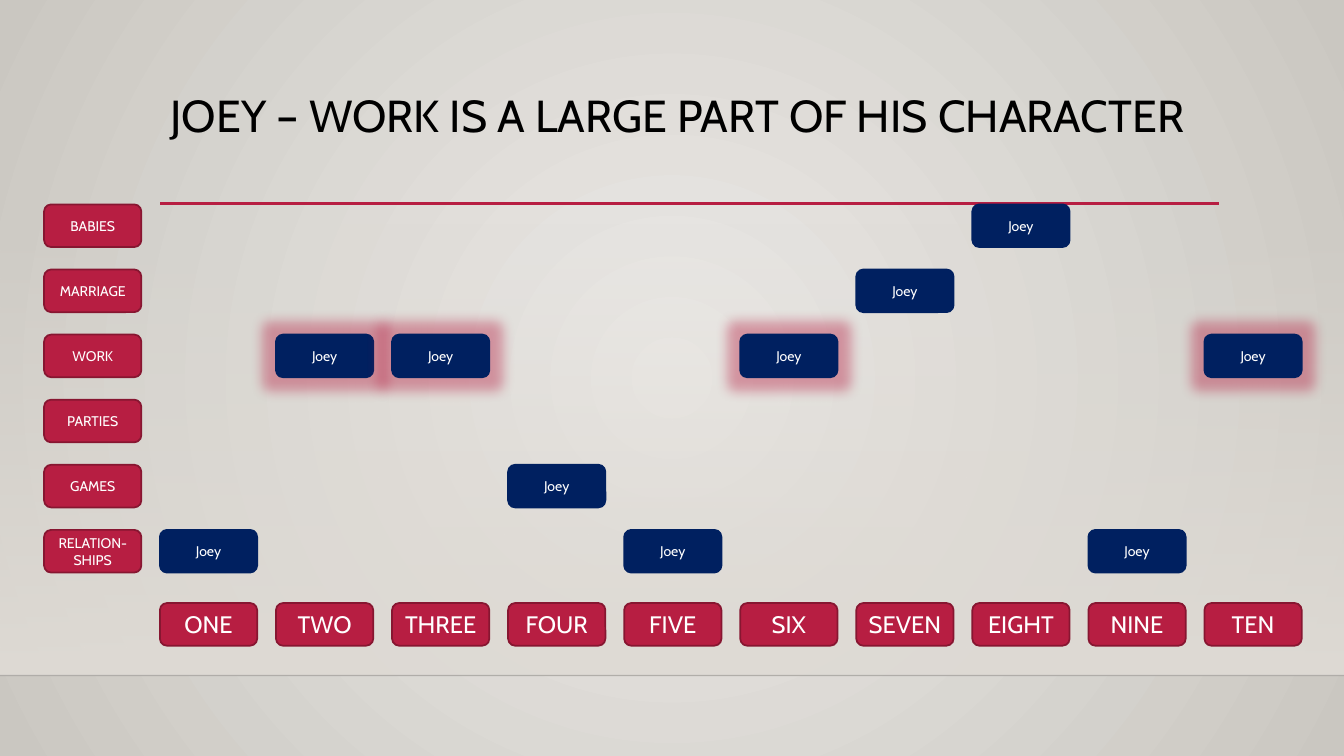
from dataclasses import dataclass

from lxml import etree
from pptx import Presentation
from pptx.dml.color import RGBColor
from pptx.enum.shapes import MSO_CONNECTOR, MSO_SHAPE
from pptx.enum.text import MSO_ANCHOR, MSO_AUTO_SIZE, PP_ALIGN
from pptx.oxml import parse_xml
from pptx.oxml.ns import nsdecls, qn
from pptx.util import Pt

RECTANGLE = MSO_SHAPE.RECTANGLE
ROUNDED = MSO_SHAPE.ROUNDED_RECTANGLE
STRAIGHT = MSO_CONNECTOR.STRAIGHT
TOP, MIDDLE = MSO_ANCHOR.TOP, MSO_ANCHOR.MIDDLE
LEFT, CENTER = PP_ALIGN.LEFT, PP_ALIGN.CENTER
FIXED_SIZE = MSO_AUTO_SIZE.NONE


@dataclass(frozen=True)
class Theme:
    """Colours, font and type sizes of the slide."""
    font: str = "Cabin"
    backdrop_centre: str = "ECEAE7"
    backdrop_edge: str = "CAC7C1"
    wall: str = "DFDBD5"
    floor_line: str = "000001"
    title: str = "000000"
    accent: str = "B71E42"
    accent_edge: str = "871631"
    character: str = "002060"
    label: str = "FFFFFF"
    title_size: int = 32
    season_size: int = 17
    small_size: int = 10


THEME = Theme()
SLIDE_WIDTH, SLIDE_HEIGHT = 960, 540
BOX_WIDTH, BOX_HEIGHT = 69.5, 30.5
TOPIC_LEFT, SEASON_TOP = 31.5, 430.75
GRID_LEFT, COLUMN_STEP = 114.25, 82.9
GRID_TOP, ROW_STEP = 146, 46.5
FLOOR_TOP = 482.5
RADIAL = ('<a:path path="circle">'
          '<a:fillToRect l="50000" t="50000" r="50000" b="50000"/></a:path>')
DOWNWARD = '<a:lin ang="5400000" scaled="0"/>'

SEASONS = ("ONE", "TWO", "THREE", "FOUR", "FIVE",
           "SIX", "SEVEN", "EIGHT", "NINE", "TEN")
TOPICS = ("BABIES", "MARRIAGE", "WORK", "PARTIES", "GAMES", "RELATION-SHIPS")
JOEY_TOPICS = ("RELATION-SHIPS", "WORK", "WORK", "GAMES", "RELATION-SHIPS",
               "WORK", "MARRIAGE", "BABIES", "RELATION-SHIPS", "WORK")


def style_text(frame, color, size, align):
    """Give every paragraph of a frame the same look."""
    for paragraph in frame.paragraphs:
        paragraph.alignment = align
        paragraph.font.name = THEME.font
        paragraph.font.size = Pt(size)
        paragraph.font.color.rgb = RGBColor.from_string(color)


def paint_gradient(fill, holder, stops, direction):
    """Fill with (position, colour, opacity) stops, in percent."""
    fill.gradient()
    stop_xml = "".join(
        f'<a:gs pos="{position * 1000}"><a:srgbClr val="{color}">'
        f'<a:alpha val="{opacity * 1000}"/></a:srgbClr></a:gs>'
        for position, color, opacity in stops)
    plain = next(holder.iter(qn("a:gradFill")))
    plain.getparent().replace(plain, parse_xml(
        f'<a:gradFill {nsdecls("a")} rotWithShape="1">'
        f'<a:gsLst>{stop_xml}</a:gsLst>{direction}</a:gradFill>'))


def add_rule(slide, left, right, top, color, width, opacity=100):
    """Add a horizontal line."""
    rule = slide.shapes.add_connector(STRAIGHT, Pt(left), Pt(top), Pt(right), Pt(top))
    rule.line.width = Pt(width)
    rule.line.color.rgb = RGBColor.from_string(color)
    properties = rule.element.spPr
    tint = next(properties.iter(qn("a:srgbClr")))
    etree.SubElement(tint, qn("a:alpha"), val=str(opacity * 1000))
    etree.SubElement(properties, qn("a:effectLst"))


def add_box(slide, left, top, text, size, fill, edge):
    """Add a rounded box with a centred label."""
    box = slide.shapes.add_shape(ROUNDED, Pt(left), Pt(top), Pt(BOX_WIDTH), Pt(BOX_HEIGHT))
    box.shadow.inherit = False
    box.fill.solid()
    box.fill.fore_color.rgb = RGBColor.from_string(fill)
    box.line.color.rgb = RGBColor.from_string(edge)
    box.line.width = Pt(1.25)
    frame = box.text_frame
    frame.margin_left = frame.margin_right = Pt(3.6)
    frame.word_wrap = True
    frame.vertical_anchor = MIDDLE
    frame.text = text
    style_text(frame, THEME.label, size, CENTER)
    return box


def add_glow(box, color, radius, opacity):
    """Surround a box with a soft glow."""
    effects = box.element.spPr.find(qn("a:effectLst"))
    glow = etree.SubElement(effects, qn("a:glow"), rad=str(Pt(radius)))
    tint = etree.SubElement(glow, qn("a:srgbClr"), val=color)
    etree.SubElement(tint, qn("a:alpha"), val=str(opacity * 1000))


def add_backdrop(slide):
    """Paint the background, the wall band and the floor line."""
    paint_gradient(slide.background.fill, slide.element,
                   ((0, THEME.backdrop_centre, 100), (100, THEME.backdrop_edge, 100)), RADIAL)
    wall_top = 159
    wall = slide.shapes.add_shape(RECTANGLE, 0, Pt(wall_top),
                                  Pt(SLIDE_WIDTH), Pt(FLOOR_TOP - wall_top))
    wall.shadow.inherit = False
    wall.line.fill.background()
    paint_gradient(wall.fill, wall.element,
                   ((0, THEME.wall, 0), (100, THEME.wall, 100)), DOWNWARD)
    add_rule(slide, 0, SLIDE_WIDTH, FLOOR_TOP, THEME.floor_line, 1, 20)


def set_title(slide, text):
    """Place and format the title with the line below it."""
    title = slide.shapes.title
    title.left, title.top, title.width, title.height = Pt(114.5), Pt(63.5), Pt(756), Pt(82.5)
    frame = title.text_frame
    frame.text = text
    frame.word_wrap = True
    frame.auto_size = FIXED_SIZE
    frame.vertical_anchor = TOP
    frame.paragraphs[0].line_spacing = 0.9
    style_text(frame, THEME.title, THEME.title_size, LEFT)
    add_rule(slide, 114.5, 871, 145.25, THEME.accent, 2.5)


def add_grid(slide):
    """Add season and topic labels and Joey's topic in each season."""
    column_lefts = [GRID_LEFT + COLUMN_STEP * column for column in range(len(SEASONS))]
    row_tops = {topic: GRID_TOP + ROW_STEP * row for row, topic in enumerate(TOPICS)}
    for left, season in zip(column_lefts, SEASONS):
        add_box(slide, left, SEASON_TOP, season, THEME.season_size,
                THEME.accent, THEME.accent_edge)
    for topic, top in row_tops.items():
        add_box(slide, TOPIC_LEFT, top, topic, THEME.small_size,
                THEME.accent, THEME.accent_edge)
    for left, topic in zip(column_lefts, JOEY_TOPICS):
        joey = add_box(slide, left, row_tops[topic], "Joey", THEME.small_size,
                       THEME.character, THEME.character)
        if topic == "WORK":
            add_glow(joey, THEME.accent, 18, 40)


def main():
    """Build and save the slide."""
    deck = Presentation()
    deck.slide_width, deck.slide_height = Pt(SLIDE_WIDTH), Pt(SLIDE_HEIGHT)
    title_only = deck.slide_layouts.get_by_name("Title Only")
    slide = deck.slides.add_slide(title_only)
    add_backdrop(slide)
    set_title(slide, "JOEY – WORK IS A LARGE PART OF HIS CHARACTER")
    add_grid(slide)
    deck.save("out.pptx")


if __name__ == "__main__":
    main()
